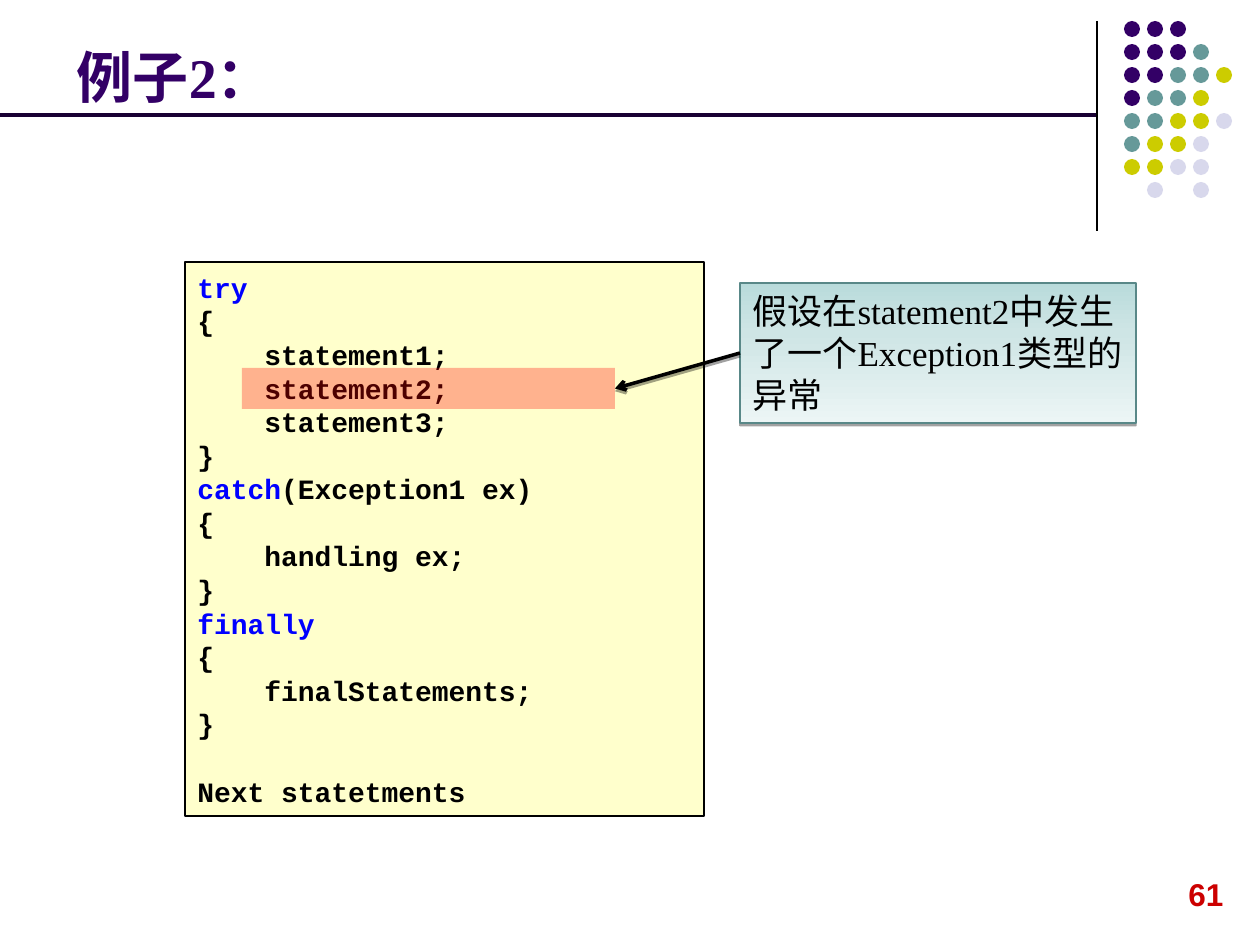
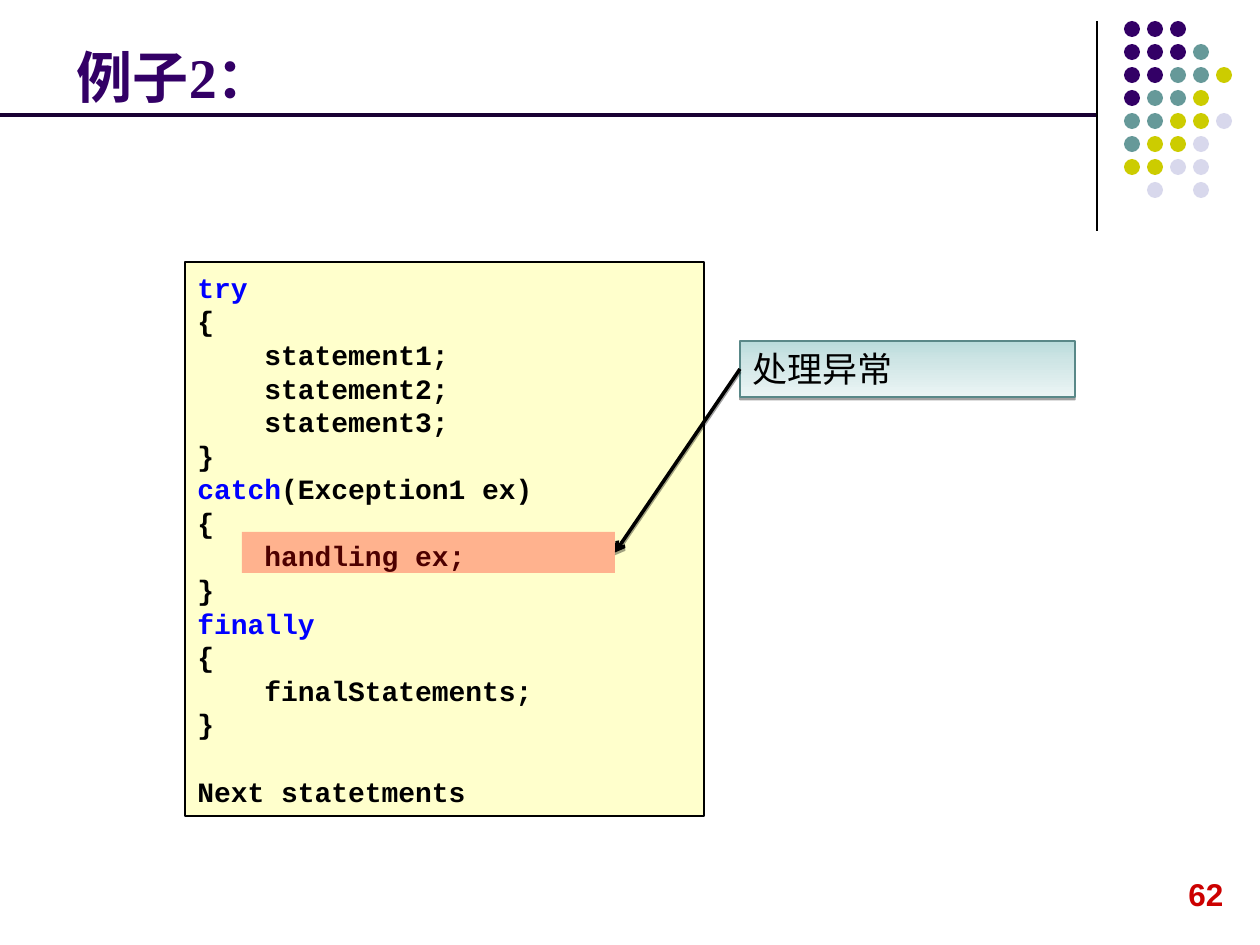
"""Build two slides that trace an exception through a try/catch/finally block."""
from lxml import etree
from pptx import Presentation
from pptx import util as u
from pptx.dml.color import RGBColor
from pptx.enum import shapes, text
from pptx.oxml.ns import qn

PX = u.Inches(1) / 126
BLACK = RGBColor(0x00, 0x00, 0x00)
PURPLE = RGBColor(0x33, 0x00, 0x66)
DARK_PURPLE = RGBColor(0x19, 0x00, 0x33)
TEAL = RGBColor(0x66, 0x99, 0x99)
OLIVE = RGBColor(0xCC, 0xCC, 0x00)
LAVENDER = RGBColor(0xD8, 0xD8, 0xEC)
CREAM = RGBColor(0xFF, 0xFF, 0xCC)
BLUE = RGBColor(0x00, 0x00, 0xFF)
RED = RGBColor(0xFF, 0x00, 0x00)
NUMBER_RED = RGBColor(0xCC, 0x00, 0x00)
CALLOUT_EDGE = RGBColor(0x59, 0x88, 0x88)
CALLOUT_STOPS = (
    (0, RGBColor(0xB9, 0xDB, 0xDB)),
    (35, RGBColor(0xCE, 0xE5, 0xE5)),
    (100, RGBColor(0xEC, 0xF5, 0xF5)),
)
SERIF, SANS, MONO, CJK = "Times New Roman", "Arial", "Courier New", "Noto Sans CJK SC"
LINE_RATIO = 1.2
DOT_COLOURS = {"P": PURPLE, "T": TEAL, "O": OLIVE, "L": LAVENDER}
DOT_ROWS = ("PPP", "PPPT", "PPTTO", "PTTO", "TTOOL", "TOOL", "OOLL", " L L")
KEYWORDS = ("try", "catch", "finally")
CODE = """try
{
    statement1;
    statement2;
    statement3;
}
catch(Exception1 ex)
{
    handling ex;
}
finally
{
    finalStatements;
}

Next statetments"""
STEPS = (
    (61, 368, (740, 283, 396, 140), "假设在statement2中发生了一个Exception1类型的异常", SERIF),
    (62, 532, (740, 341, 335, 56), "处理异常", CJK),
)


def px(*lengths):
    return [u.Emu(round(length * PX)) for length in lengths]


def add_xml(parent, tag, **attributes):
    return etree.SubElement(parent, qn(tag), {k: str(v) for k, v in attributes.items()})


class Deck:
    """Holds the shared style and the slide being drawn."""

    def __init__(self):
        self.prs = Presentation()
        self.prs.slide_width, self.prs.slide_height = px(1260, 945)
        self.slide = None

    def new_slide(self):
        self.slide = self.prs.slides.add_slide(self.prs.slide_layouts[5])

    def style(self, paragraph, font, size, colour, bold=False):
        paragraph.alignment = text.PP_ALIGN.LEFT
        paragraph.line_spacing = u.Pt(size * LINE_RATIO)
        paragraph.font.name, paragraph.font.size = font, u.Pt(size)
        paragraph.font.bold = bold
        paragraph.font.color.rgb = colour
        add_xml(paragraph.font._element, "a:ea", typeface=CJK)

    def title(self, words):
        title = self.slide.shapes.title
        title.left, title.top, title.width, title.height = px(64, 26, 1040, 90)
        frame = title.text_frame
        frame.text = words
        frame.vertical_anchor = text.MSO_ANCHOR.BOTTOM
        frame.auto_size = text.MSO_AUTO_SIZE.NONE
        self.style(frame.paragraphs[0], SERIF, 32, PURPLE, True)

    def shape(self, kind, box, fill=None, edge=None):
        shape = self.slide.shapes.add_shape(kind, *px(*box))
        shape.shadow.inherit = False
        if fill is not None:
            shape.fill.solid()
            shape.fill.fore_color.rgb = fill
        if edge is None:
            shape.line.fill.background()
        else:
            shape.line.color.rgb = edge
            shape.line.width = u.Pt(0.75)
        return shape

    def line(self, start, end, colour, width):
        line = self.slide.shapes.add_connector(
            shapes.MSO_CONNECTOR.STRAIGHT, *px(*start, *end))
        line.line.color.rgb = colour
        line.line.width = u.Pt(width)
        add_xml(line.element.spPr, "a:effectLst")
        return line

    def shadow(self, item):
        effects = item.element.spPr.find(qn("a:effectLst"))
        outer = add_xml(effects, "a:outerShdw", blurRad=0, dist=u.Pt(1.6),
                        dir=5400000, rotWithShape=0)
        add_xml(add_xml(outer, "a:srgbClr", val=BLACK), "a:alpha", val=37000)

    def dots(self):
        for row, pattern in enumerate(DOT_ROWS):
            for column, key in enumerate(pattern):
                if key in DOT_COLOURS:
                    self.shape(shapes.MSO_SHAPE.OVAL,
                               (1124 + 23 * column, 21 + 23 * row, 16, 16), DOT_COLOURS[key])

    def page_number(self, number):
        frame = self.slide.shapes.add_textbox(*px(1176, 869, 60, 50)).text_frame
        frame.text = str(number)
        self.style(frame.paragraphs[0], SANS, 18, NUMBER_RED, True)

    def code(self, source):
        panel = self.shape(shapes.MSO_SHAPE.RECTANGLE, (185, 262, 519, 554), CREAM, BLACK)
        frame = panel.text_frame
        frame.word_wrap = True
        frame.vertical_anchor = text.MSO_ANCHOR.MIDDLE
        paragraph, gap = frame.paragraphs[0], 0
        for index, row in enumerate(source.splitlines()):
            if not row:
                gap += 16 * LINE_RATIO
                continue
            if index:
                paragraph = frame.add_paragraph()
                paragraph.space_before = u.Pt(gap)
            gap = 0
            keyword = next((word for word in KEYWORDS if row.startswith(word)), "")
            self.style(paragraph, MONO, 16, BLACK, True)
            for part, colour in ((keyword, BLUE), (row[len(keyword):], BLACK)):
                if part:
                    run = paragraph.add_run()
                    run.text = part
                    run.font.color.rgb = colour

    def highlight(self, top):
        band = self.shape(shapes.MSO_SHAPE.RECTANGLE, (242, top, 373, 41), RED)
        add_xml(band.element.spPr.find(".//" + qn("a:srgbClr")), "a:alpha", val=30000)
        return band

    def callout(self, box, words, font):
        callout = self.shape(shapes.MSO_SHAPE.RECTANGLE, box, edge=CALLOUT_EDGE)
        callout.fill.gradient()
        callout.fill.gradient_angle = 270
        stops = callout.element.spPr.find(".//" + qn("a:gsLst"))
        stops.clear()
        for percent, colour in CALLOUT_STOPS:
            add_xml(add_xml(stops, "a:gs", pos=percent * 1000), "a:srgbClr", val=colour)
        self.shadow(callout)
        frame = callout.text_frame
        frame.word_wrap = True
        frame.vertical_anchor = text.MSO_ANCHOR.TOP
        frame.text = words
        self.style(frame.paragraphs[0], font, 20, BLACK)
        return callout

    def arrow(self, callout, band):
        arrow = self.line((0, 0), (0, 0), BLACK, 2)
        arrow.begin_connect(callout, 1)
        arrow.end_connect(band, 3)
        add_xml(arrow.line._get_or_add_ln(), "a:tailEnd", type="arrow")
        self.shadow(arrow)


def main():
    deck = Deck()
    for number, band_top, callout_box, remark, font in STEPS:
        deck.new_slide()
        deck.line((1097, 21), (1097, 231), BLACK, 0.75)
        deck.dots()
        deck.page_number(number)
        deck.title("例子2：")
        deck.code(CODE)
        band = deck.highlight(band_top)
        callout = deck.callout(callout_box, remark, font)
        deck.arrow(callout, band)
        deck.line((0, 115), (1096, 115), DARK_PURPLE, 2.25)
    deck.prs.save("out.pptx")


if __name__ == "__main__":
    main()
